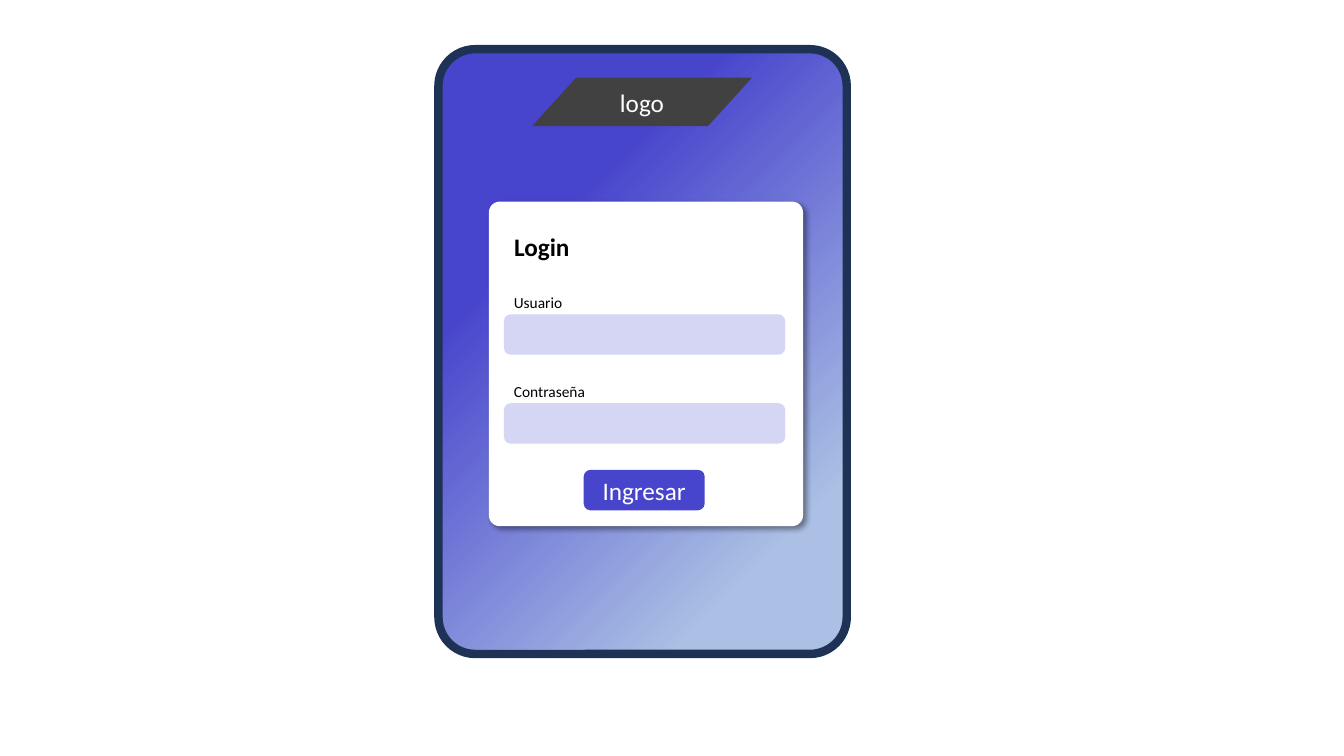
from dataclasses import dataclass

from lxml import etree
from pptx import Presentation, util as u
from pptx.dml import color
from pptx.enum import shapes, text
from pptx.oxml import ns
from pptx.shapes.autoshape import Shape
from pptx.slide import Slide

COLORS = {
    "indigo": "4845CD",
    "sky": "ABC0E4",
    "navy": "1E3256",
    "lilac": "D5D5F4",
    "gray": "414141",
    "white": "FFFFFF",
    "black": "000000",
}
ROUNDED = shapes.MSO_SHAPE.ROUNDED_RECTANGLE
FIELD_LEFT = 12.7
FIELD_HEIGHT = 1.02
FIELD_PITCH = 2.24


@dataclass
class Box:
    left: float
    top: float
    width: float
    height: float

    def lengths(self) -> tuple[u.Length, ...]:
        return tuple(u.Cm(v) for v in (self.left, self.top, self.width, self.height))


@dataclass
class Field:
    label: str
    row: int


def rgb(name: str) -> color.RGBColor:
    return color.RGBColor.from_string(COLORS[name])


def add_panel(s: Slide, box: Box, fill: str, kind: int = ROUNDED,
              radius: float | None = None) -> Shape:
    sp = s.shapes.add_shape(kind, *box.lengths())
    sp.shadow.inherit = False
    sp.fill.solid()
    sp.fill.fore_color.rgb = rgb(fill)
    sp.line.fill.background()
    if radius is not None:
        sp.adjustments[0] = radius
    return sp


def write(sp: Shape, content: str, *, size: float = 18, ink: str = "black",
          bold: bool = False, align: int = text.PP_ALIGN.LEFT,
          anchor: int = text.MSO_ANCHOR.TOP) -> None:
    tf = sp.text_frame
    tf.word_wrap = True
    tf.auto_size = text.MSO_AUTO_SIZE.NONE
    tf.vertical_anchor = anchor
    p = tf.paragraphs[0]
    p.alignment = align
    r = p.add_run()
    r.text = content
    r.font.name = "Calibri"
    r.font.size = u.Pt(size)
    r.font.bold = bold
    r.font.color.rgb = rgb(ink)


def write_centered(sp: Shape, content: str) -> None:
    write(sp, content, ink="white", align=text.PP_ALIGN.CENTER,
          anchor=text.MSO_ANCHOR.MIDDLE)


def add_shadow(sp: Shape) -> None:
    effects = sp.fill._xPr.find(ns.qn("a:effectLst"))
    shadow = etree.SubElement(effects, ns.qn("a:outerShdw"), blurRad=str(u.Pt(4)),
                              dist=str(u.Pt(3)), dir="2700000", algn="tl",
                              rotWithShape="0")
    tint = etree.SubElement(shadow, ns.qn("a:srgbClr"), val=COLORS["black"])
    etree.SubElement(tint, ns.qn("a:alpha"), val="40000")


def add_phone(s: Slide) -> None:
    sp = add_panel(s, Box(11.05, 1.24, 10.29, 15.24), "indigo", radius=0.09)
    sp.fill.gradient()
    sp.fill.gradient_angle = 315
    stops = ((0.28, "indigo"), (0.83, "sky"))
    for stop, (position, name) in zip(sp.fill.gradient_stops, stops):
        stop.position = position
        stop.color.rgb = rgb(name)
    sp.line.color.rgb = rgb("navy")
    sp.line.width = u.Pt(6)


def add_title(s: Slide, content: str, box: Box) -> None:
    sp = s.shapes.title
    sp.left, sp.top, sp.width, sp.height = box.lengths()
    s.shapes._spTree.append(sp._element)
    write(sp, content, bold=True)


def add_field(s: Slide, field: Field) -> None:
    top = 7.92 + field.row * FIELD_PITCH
    add_panel(s, Box(FIELD_LEFT, top, 7.09, FIELD_HEIGHT), "lilac")
    label = s.shapes.add_textbox(*Box(FIELD_LEFT, top - 0.66, 2.9, 0.74).lengths())
    write(label, field.label, size=11)


prs = Presentation()
prs.slide_width, prs.slide_height = u.Cm(33.87), u.Cm(19.05)
s = prs.slides.add_slide(prs.slide_layouts.get_by_name("Title Only"))

add_phone(s)
card = add_panel(s, Box(12.32, 5.08, 7.92, 8.18), "white", radius=0.035)
add_shadow(card)
add_title(s, "Login", Box(FIELD_LEFT, 5.69, 6.96, FIELD_HEIGHT))
for field in (Field("Usuario", 0), Field("Contraseña", 1)):
    add_field(s, field)
button = add_panel(s, Box(14.71, 11.84, 3.05, FIELD_HEIGHT), "indigo")
write_centered(button, "Ingresar")
logo = add_panel(s, Box(13.41, 1.96, 5.54, 1.22), "gray",
                 kind=shapes.MSO_SHAPE.FLOWCHART_DATA)
write_centered(logo, "logo")

prs.save("out.pptx")
